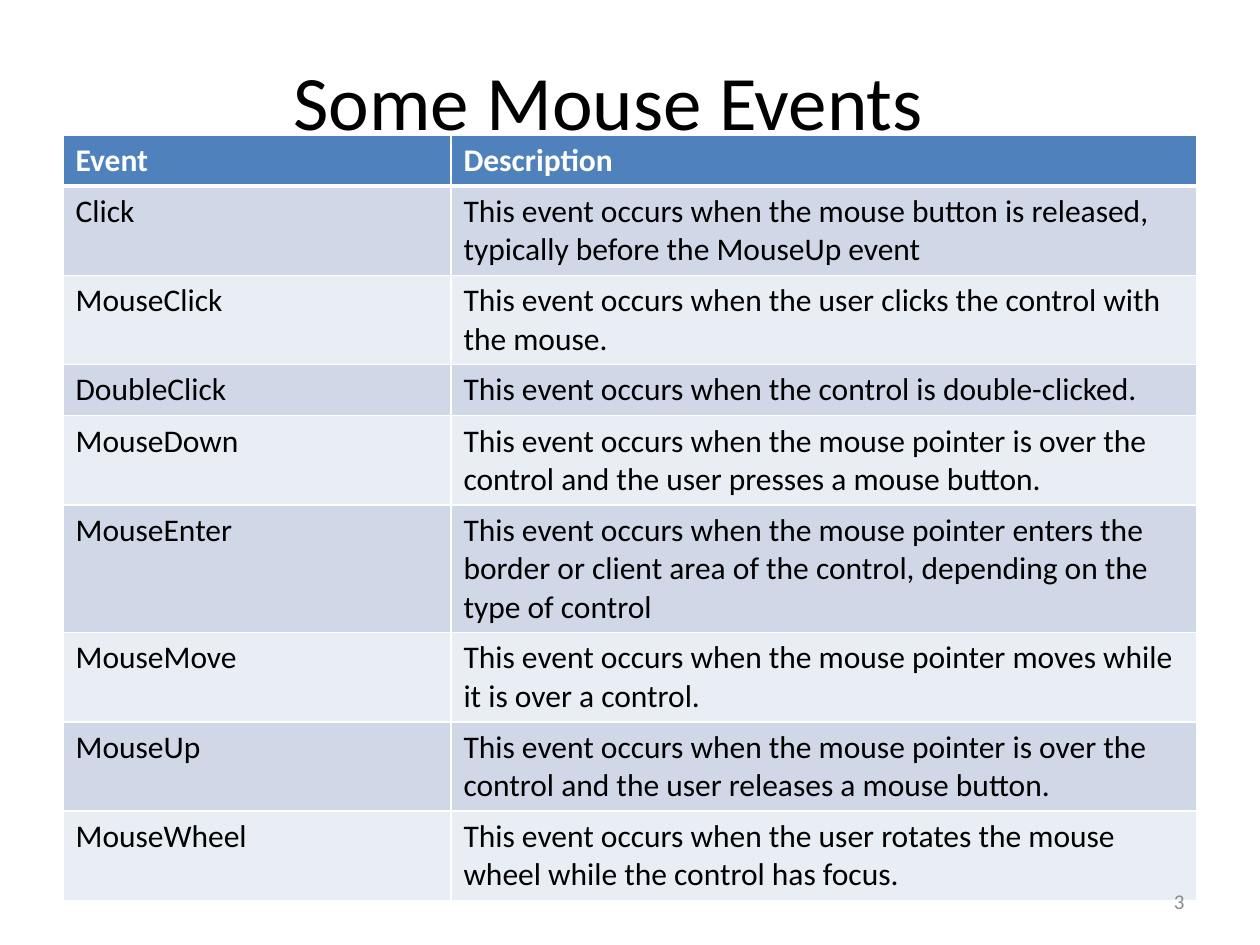
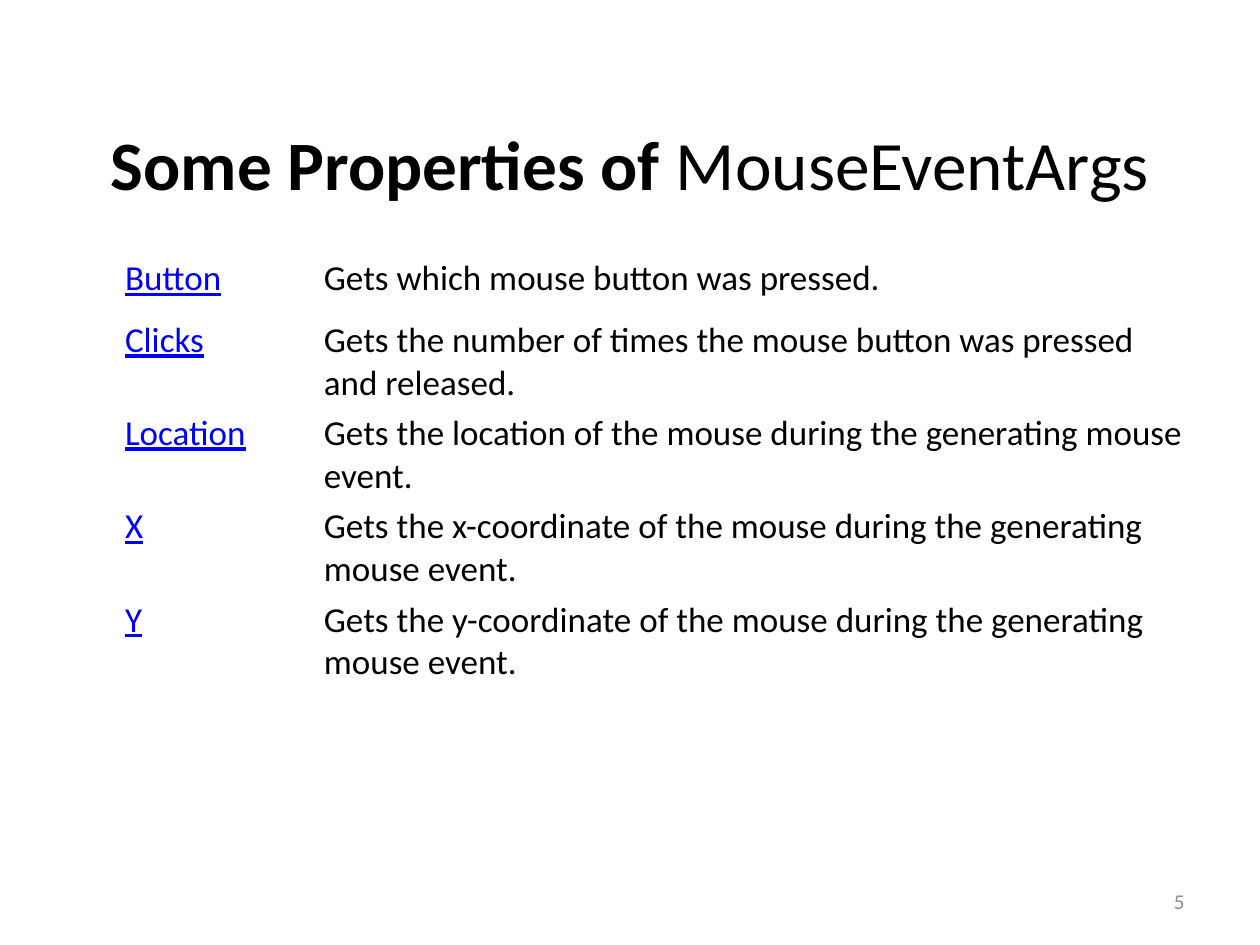
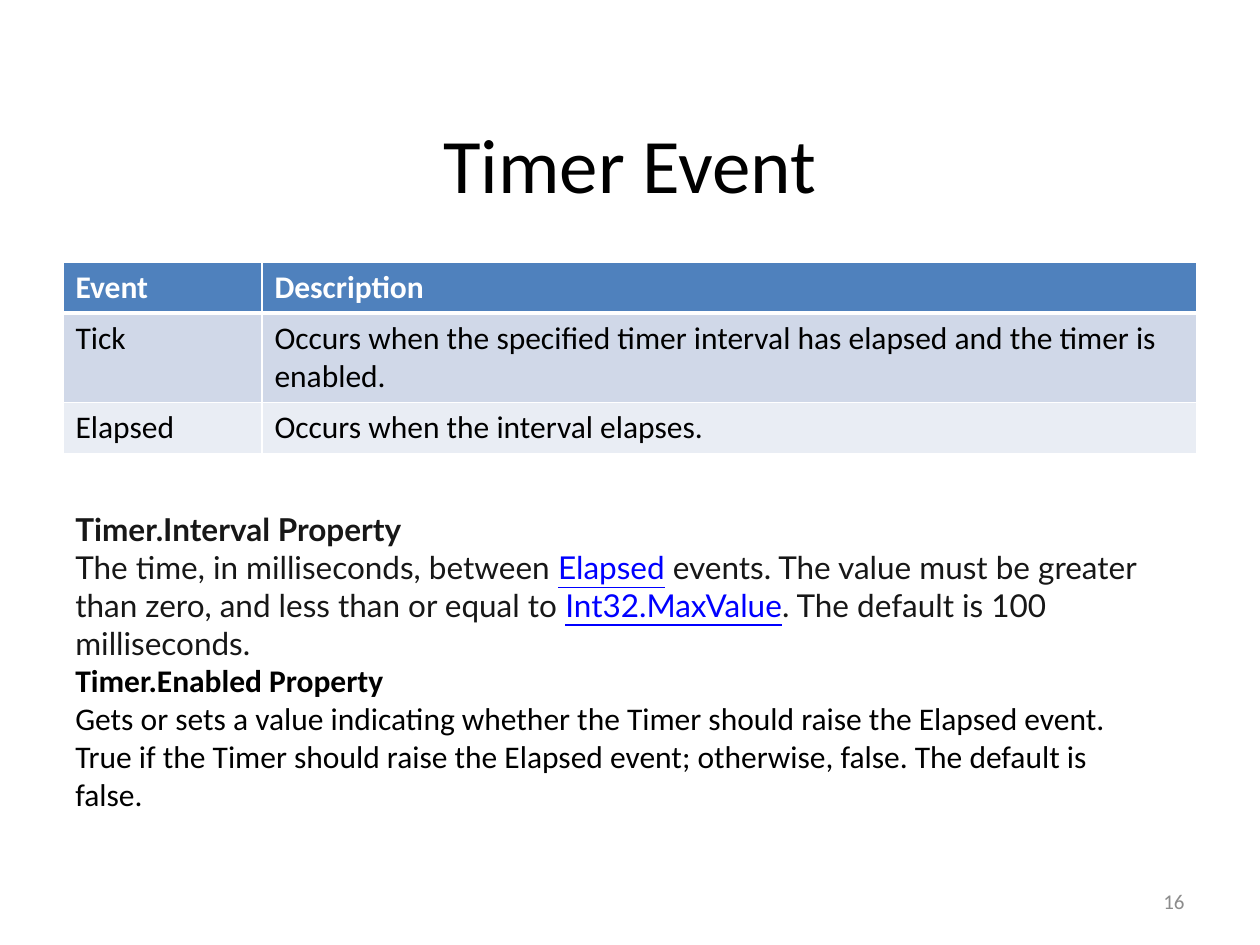
from dataclasses import dataclass

import pptx
import pptx.dml.color
import pptx.enum.text
import pptx.oxml
import pptx.oxml.ns
import pptx.util

Cm = pptx.util.Cm
Pt = pptx.util.Pt
Align = pptx.enum.text.PP_ALIGN
Anchor = pptx.enum.text.MSO_ANCHOR


@dataclass(frozen=True)
class Theme:
    font: str = "Calibri"
    prose_font: str = "Lato"
    black: str = "000000"
    white: str = "FFFFFF"
    prose: str = "171717"
    link: str = "0000FF"
    page_number: str = "8C8C8C"
    header_fill: str = "4F81BD"
    band_fills: tuple = ("D0D8E8", "E9EDF4")
    title_size: float = 44
    long_title_size: float = 39.6
    property_size: float = 20
    body_size: float = 18
    page_number_size: float = 12
    grid_width: float = 1
    header_rule_width: float = 3


THEME = Theme()

MOUSE_EVENTS = [
    # event, description, lines of description
    ("Click", "This event occurs when the mouse button is released, "
     "typically before the MouseUp event", 2),
    ("MouseClick", "This event occurs when the user clicks the control with the mouse.", 2),
    ("DoubleClick", "This event occurs when the control is double-clicked.", 1),
    ("MouseDown", "This event occurs when the mouse pointer is over the control "
     "and the user presses a mouse button.", 2),
    ("MouseEnter", "This event occurs when the mouse pointer enters the border or "
     "client area of the control, depending on the type of control", 3),
    ("MouseMove", "This event occurs when the mouse pointer moves while it is over a control.", 2),
    ("MouseUp", "This event occurs when the mouse pointer is over the control "
     "and the user releases a mouse button.", 2),
    ("MouseWheel", "This event occurs when the user rotates the mouse wheel "
     "while the control has focus.", 2),
]

TIMER_EVENTS = [
    ("Tick", "Occurs when the specified timer interval has elapsed and the timer is enabled.", 2),
    ("Elapsed", "Occurs when the interval elapses.", 1),
]

MOUSE_PROPERTIES = [
    ("Button", "Gets which mouse button was pressed."),
    ("Clicks", "Gets the number of times the mouse button was pressed and released."),
    ("Location", "Gets the location of the mouse during the generating mouse event."),
    ("X", "Gets the x-coordinate of the mouse during the generating mouse event."),
    ("Y", "Gets the y-coordinate of the mouse during the generating mouse event."),
]


def rgb(color):
    return pptx.dml.color.RGBColor.from_string(color)


def format_run(run, size, color=THEME.black, bold=False, underline=False, font=THEME.font):
    run.font.name = font
    run.font.size = Pt(size)
    run.font.bold = bold
    run.font.underline = underline
    run.font.color.rgb = rgb(color)


def add_text_box(slide, left, top, width, height, anchor):
    shape = slide.shapes.add_textbox(Cm(left), Cm(top), Cm(width), Cm(height))
    shape.text_frame.word_wrap = True
    shape.text_frame.vertical_anchor = anchor
    return shape.text_frame


def add_title(slide, parts, left=1.27, top=1.7, size=THEME.title_size):
    """Add a centred title from (text, bold) parts."""
    paragraph = add_text_box(slide, left, top, 22.86, 3.18, Anchor.MIDDLE).paragraphs[0]
    paragraph.alignment = Align.CENTER
    for text, bold in parts:
        run = paragraph.add_run()
        run.text = text
        format_run(run, size, bold=bold)


def add_page_number(slide, number):
    text_frame = add_text_box(slide, 18.2, 17.65, 5.93, 1.02, Anchor.MIDDLE)
    text_frame.text = str(number)
    paragraph = text_frame.paragraphs[0]
    paragraph.alignment = Align.RIGHT
    format_run(paragraph.runs[0], THEME.page_number_size, THEME.page_number)


def add_table(slide, left, top, column_widths, row_heights):
    frame = slide.shapes.add_table(
        len(row_heights), len(column_widths), Cm(left), Cm(top),
        Cm(sum(column_widths)), Cm(sum(row_heights)))
    table = frame.table
    for column, width in zip(table.columns, column_widths):
        column.width = Cm(width)
    for row, height in zip(table.rows, row_heights):
        row.height = Cm(height)
    return table


def fill_cell(cell, text, fill, size, **run_format):
    cell.text = text
    format_run(cell.text_frame.paragraphs[0].runs[0], size, **run_format)
    cell.fill.solid()
    cell.fill.fore_color.rgb = rgb(fill)


def set_borders(cell, top, bottom):
    """Draw white borders; must run before the cell gets its fill."""
    properties = cell._tc.get_or_add_tcPr()
    widths = {"L": THEME.grid_width, "R": THEME.grid_width, "T": top, "B": bottom}
    for side, width in widths.items():
        properties.append(pptx.oxml.parse_xml(
            f'<a:ln{side} {pptx.oxml.ns.nsdecls("a")} w="{Pt(width)}">'
            f'<a:solidFill><a:srgbClr val="{THEME.white}"/></a:solidFill></a:ln{side}>'))


def add_event_table(slide, top, column_widths, events):
    rows = [("Event", "Description", 1)] + events
    heights = [0.26 + 0.77 * lines for *_, lines in rows]
    table = add_table(slide, 1.27, top, column_widths, heights)
    rules = [THEME.grid_width, THEME.header_rule_width] + [THEME.grid_width] * len(events)
    for row_index, (*texts, _) in enumerate(rows):
        is_header = row_index == 0
        fill = THEME.header_fill if is_header else THEME.band_fills[(row_index - 1) % 2]
        for column_index, text in enumerate(texts):
            cell = table.cell(row_index, column_index)
            set_borders(cell, *(rules + [THEME.grid_width])[row_index:row_index + 2])
            fill_cell(cell, text, fill, THEME.body_size, bold=is_header,
                      color=THEME.white if is_header else THEME.black)


def add_property_table(slide, properties):
    heights = [1.24] + [1.88] * (len(properties) - 1)
    table = add_table(slide, 2.34, 5.11, (4.01, 17.78), heights)
    table.first_row = False
    table.horz_banding = False
    for row, texts in zip(table.rows, properties):
        for cell, text, is_link in zip(row.cells, texts, (True, False)):
            cell.margin_left = cell.margin_right = Cm(0.18)
            cell.margin_top = cell.margin_bottom = Cm(0.08)
            fill_cell(cell, text, THEME.white, THEME.property_size, underline=is_link,
                      color=THEME.link if is_link else THEME.black)


def add_timer_notes(slide):
    heading = dict(font=THEME.prose_font, color=THEME.prose, bold=True)
    prose = dict(font=THEME.prose_font, color=THEME.prose)
    link = dict(font=THEME.prose_font, color=THEME.link, underline=True)
    notes = [
        [("Timer.Interval Property", heading)],
        [("The time, in milliseconds, between ", prose), ("Elapsed", link),
         (" events. The value must be greater than zero, and less than or equal to ", prose),
         ("Int32.MaxValue", link), (". The default is 100 milliseconds.", prose)],
        [("Timer.Enabled Property", dict(bold=True))],
        [("Gets or sets a value indicating whether the Timer should raise "
          "the Elapsed event.", {})],
        [("True if the Timer should raise the Elapsed event; otherwise, false. "
          "The default is false.", {})],
    ]
    text_frame = add_text_box(slide, 1.27, 10.16, 22.23, 6.4, Anchor.TOP)
    text_frame.auto_size = pptx.enum.text.MSO_AUTO_SIZE.SHAPE_TO_FIT_TEXT
    for index, parts in enumerate(notes):
        paragraph = text_frame.add_paragraph() if index else text_frame.paragraphs[0]
        for text, run_format in parts:
            run = paragraph.add_run()
            run.text = text
            format_run(run, THEME.body_size, **run_format)


def main():
    presentation = pptx.Presentation()
    presentation.slide_width = Cm(25.4)
    presentation.slide_height = Cm(19.05)
    blank_layout = presentation.slide_layouts[6]

    slide = presentation.slides.add_slide(blank_layout)
    add_title(slide, [("Some Mouse Events", False)], left=0.84, top=0.43)
    add_event_table(slide, 2.72, (7.82, 15.04), MOUSE_EVENTS)
    add_page_number(slide, 3)

    slide = presentation.slides.add_slide(blank_layout)
    add_title(slide, [("Some Properties of ", True), ("MouseEventArgs", False)],
              size=THEME.long_title_size)
    add_property_table(slide, MOUSE_PROPERTIES)
    add_page_number(slide, 5)

    slide = presentation.slides.add_slide(blank_layout)
    add_title(slide, [("Timer Event", False)])
    add_event_table(slide, 5.28, (4.01, 18.85), TIMER_EVENTS)
    add_page_number(slide, 16)
    add_timer_notes(slide)

    presentation.save("out.pptx")


if __name__ == "__main__":
    main()
